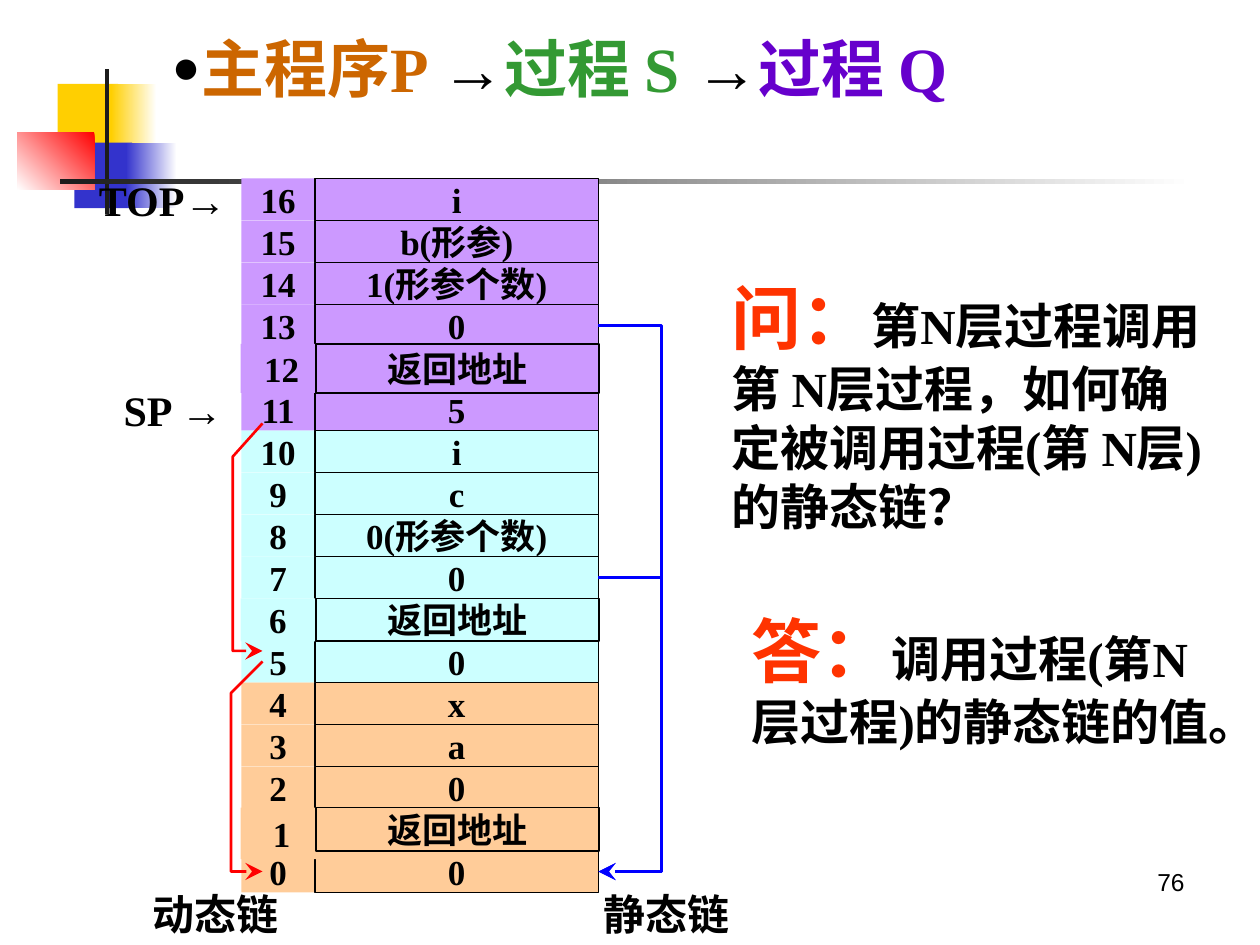
from dataclasses import dataclass

from lxml.etree import SubElement
from pptx import Presentation
from pptx.dml.color import RGBColor
from pptx.enum.shapes import MSO_SHAPE as Shape
from pptx.enum.text import MSO_ANCHOR as Anchor, MSO_AUTO_SIZE as Fit, PP_ALIGN as Align
from pptx.oxml.ns import qn
from pptx.util import Pt


@dataclass(frozen=True)
class Theme:
    serif: str = "Times New Roman"
    sans: str = "Arial"
    black: str = "000000"
    white: str = "FFFFFF"
    ink: str = "1C1C1C"
    gold: str = "FFCF01"
    navy: str = "3333CC"
    red: str = "FF0000"
    blue: str = "0000FF"
    ask: str = "FF3300"
    main: str = "CC6600"
    proc_s: str = "339933"
    proc_q: str = "6600CC"
    sand: str = "FFCC99"
    aqua: str = "CCFFFF"
    lilac: str = "CC99FF"
    title: int = 36
    head: int = 40
    body: int = 28
    label: int = 24
    cell: int = 20
    page: int = 14


def rgb(code):
    return RGBColor.from_string(code)


class Board:
    def __init__(self, slide, theme):
        self.slide, self.theme = slide, theme

    def style(self, font, size=None, name=None, color=None, bold=None):
        if size:
            font.size = Pt(size)
        if name:
            font.name = name
        if color:
            font.color.rgb = rgb(color)
        if bold is not None:
            font.bold = bold

    def rect(self, x, y, w, h, fill, end=None, angle=180):
        """Add a plain rectangle, or a gradient from fill to end."""
        box = self.slide.shapes.add_shape(Shape.RECTANGLE, Pt(x), Pt(y), Pt(w), Pt(h))
        box.shadow.inherit = False
        box.line.fill.background()
        if end:
            box.fill.gradient()
            box.fill.gradient_angle = angle
            for stop, code in zip(box.fill.gradient_stops, (fill, end)):
                stop.color.rgb = rgb(code)
        else:
            box.fill.solid()
            box.fill.fore_color.rgb = rgb(fill)
        return box

    def cell(self, x, y, w, h, text, fill, edge=False):
        t = self.theme
        box = self.rect(x, y, w, h, fill)
        if edge:
            box.line.color.rgb = rgb(t.black)
            box.line.width = Pt(1)
        frame = box.text_frame
        frame.word_wrap = False
        frame.vertical_anchor = Anchor.MIDDLE
        frame.margin_top = frame.margin_bottom = 0
        para = frame.paragraphs[0]
        para.text, para.alignment = text, Align.CENTER
        self.style(para.font, t.cell, t.serif, t.black, True)

    def add_runs(self, para, runs):
        """Add runs given as (text, font settings) pairs."""
        for text, look in runs:
            run = para.add_run()
            run.text = text
            self.style(run.font, **look)

    def text(self, x, y, w, h, runs, align=Align.LEFT, wrap=True, **look):
        box = self.slide.shapes.add_textbox(Pt(x), Pt(y), Pt(w), Pt(h))
        frame = box.text_frame
        frame.word_wrap = wrap
        para = frame.paragraphs[0]
        para.alignment = align
        self.style(para.font, **look)
        self.add_runs(para, runs)
        return frame

    def label(self, x, y, *runs):
        t = self.theme
        frame = self.text(x, y, 102, 24, runs, Align.CENTER, False,
                          size=t.label, color=t.black, bold=True)
        frame.vertical_anchor = Anchor.MIDDLE

    def note(self, x, y, w, h, head, body):
        t = self.theme
        runs = [(head, dict(size=t.head, color=t.ask)),
                (body, dict(size=t.body, color=t.black))]
        frame = self.text(x, y, w, h, runs, name=t.serif, bold=True)
        frame.auto_size = Fit.SHAPE_TO_FIT_TEXT

    def title(self, x, y, w, h, runs):
        t = self.theme
        box = self.slide.shapes.title
        box.left, box.top, box.width, box.height = Pt(x), Pt(y), Pt(w), Pt(h)
        frame = box.text_frame
        frame.auto_size = Fit.NONE
        frame.vertical_anchor = Anchor.MIDDLE
        para = frame.paragraphs[0]
        para.alignment = Align.LEFT
        props = para._p.get_or_add_pPr()
        color = SubElement(props, qn("a:buClr"))
        SubElement(color, qn("a:srgbClr"), val=t.black)
        SubElement(props, qn("a:buSzPct"), val="75000")
        SubElement(props, qn("a:buFont"), typeface=t.sans)
        SubElement(props, qn("a:buChar"), char="●")
        self.style(para.font, t.title, bold=True)
        self.add_runs(para, runs)

    def chain(self, color, *points):
        """Draw an open bent line with an arrowhead at its last point."""
        first, *rest = [(Pt(x), Pt(y)) for x, y in points]
        pen = self.slide.shapes.build_freeform(*first)
        pen.add_line_segments(rest, close=False)
        link = pen.convert_to_shape()
        link.shadow.inherit = False
        link.fill.background()
        link.line.color.rgb = rgb(color)
        link.line.width = Pt(1.5)
        line = link.element.spPr.find(qn("a:ln"))
        SubElement(line, qn("a:tailEnd"), type="stealth", w="lg", len="lg")


STACK = ["0", "返回地址", "0", "a", "x",
         "0", "返回地址", "0", "0(形参个数)", "c", "i",
         "5", "返回地址", "0", "1(形参个数)", "b(形参)", "i"]
# Return address rows: top, index width, index height, value height
RETURN = {6: (342, 42.5, 24.5, 24.5), 12: (196.5, 47, 28, 28), 1: (461.5, 47, 29.5, 25)}
TOP, STEP = 102, 24


def decor(board):
    t = board.theme
    board.rect(33, 48, 34.5, 37.5, t.gold)
    board.rect(63.5, 48, 26, 37.5, t.white, t.gold)
    board.rect(42.5, 81.5, 33, 37.5, t.navy)
    board.rect(72, 81.5, 29, 37.5, t.white, t.navy)
    board.rect(10, 75.5, 44, 33, t.red, t.white, 225)
    board.rect(60, 39.5, 2.25, 83, t.ink)
    board.rect(34.5, 102.5, 648, 2.5, t.white, t.ink)


def stack(board):
    t = board.theme
    plain = [n for n in range(len(STACK)) if n not in RETURN]
    for n in plain + list(RETURN):
        fill = t.sand if n < 5 else t.aqua if n < 11 else t.lilac
        shift = 0.5 if n in RETURN else 0
        y, wide, high, deep = RETURN.get(n, (TOP + STEP * (16 - n), 42, STEP, STEP))
        board.cell(138 - shift, y, wide, high, str(n), fill)
        board.cell(180 + shift, y, 162, deep, STACK[n], fill, True)


def main():
    t = Theme()
    deck = Presentation()
    deck.slide_width, deck.slide_height = Pt(720), Pt(540)
    board = Board(deck.slides.add_slide(deck.slide_layouts[5]), t)
    serif, arrow = dict(name=t.serif), ("→", dict(name=t.sans, color=t.black))

    decor(board)
    board.title(91, 16.5, 613, 44, [
        ("主程序P ", dict(serif, color=t.main)), arrow,
        ("过程 S ", dict(serif, color=t.proc_s)), arrow,
        ("过程 Q", dict(serif, color=t.proc_q))])
    stack(board)

    board.label(48, 222, ("SP ", serif), arrow)
    board.label(42, 102, ("TOP", serif), arrow)
    board.label(72, 510, ("动态链", serif))
    board.label(330, 510, ("静态链", serif))

    for x, y, bend, end in ((132, 378, 396, 498), (133, 242, 261, 372)):
        board.chain(t.red, (150, y), (x, bend), (x, end), (150, end))
    for y in (330, 186):
        board.chain(t.blue, (342, y), (378, y), (378, 498), (342, 498))

    board.note(411, 153.5, 289.5, 156, "问：",
               "第N层过程调用第 N层过程，如何确定被调用过程(第 N层) 的静态链？")
    board.note(422.5, 343.5, 278, 122.5, "答：", "调用过程(第N层过程)的静态链的值。")
    board.text(516, 492, 168, 37.5, [("76", {})], Align.RIGHT,
               size=t.page, name=t.sans, color=t.black)
    deck.save("out.pptx")


if __name__ == "__main__":
    main()
